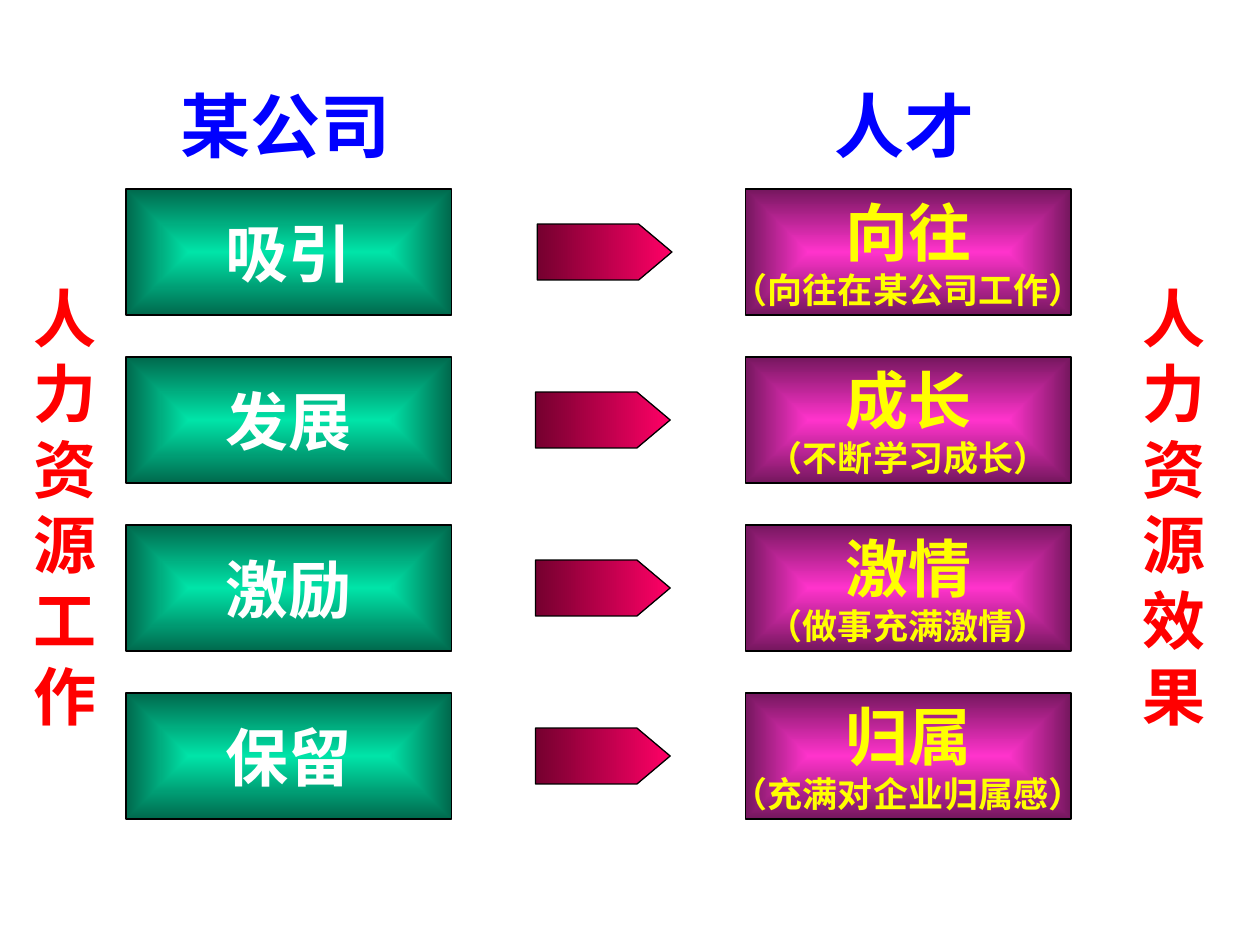
"""Build a slide that links four HR tasks to their effects on talent."""
from dataclasses import dataclass

from lxml.etree import SubElement
from pptx import Presentation
from pptx.dml.color import RGBColor as RGB
from pptx.enum.shapes import MSO_SHAPE as Shape
from pptx.enum.text import MSO_ANCHOR as Anchor, MSO_AUTO_SIZE as Fit, PP_ALIGN as Align
from pptx.oxml.ns import qn
from pptx.util import Pt


@dataclass(frozen=True)
class Theme:
    font: str = "Times New Roman"
    green: tuple = ("00E4A8", "00694D")
    pink: tuple = ("FF33CC", "75175E")
    crimson: tuple = ("FF0066", "75002F")
    black: str = "000000"
    white: str = "FFFFFF"
    yellow: str = "FFFF00"
    red: str = "FF0000"
    blue: str = "0000FF"
    title: int = 40
    main: int = 36
    note: int = 20


theme = Theme()


def write(shape, text, color, sizes, anchor=Anchor.TOP, fit=Fit.NONE):
    frame = shape.text_frame
    frame.text = text
    frame.word_wrap = False
    frame.auto_size = fit
    frame.vertical_anchor = anchor
    for para, size in zip(frame.paragraphs, sizes):
        para.alignment = Align.CENTER
        font = para.runs[0].font
        font.name, font.size, font.bold = theme.font, Pt(size), True
        font.color.rgb = RGB.from_string(color)


def paint(shape, colors, center=False):
    shape.shadow.inherit = False
    shape.line.color.rgb = RGB.from_string(theme.black)
    shape.line.width = Pt(0.75)
    fill = shape.fill
    fill.gradient()
    fill.gradient_angle = 180
    for stop, color in zip(fill.gradient_stops, colors):
        stop.color.rgb = RGB.from_string(color)
    if center:
        grad = shape.element.spPr.find(qn("a:gradFill"))
        grad.remove(grad.find(qn("a:lin")))
        path = SubElement(grad, qn("a:path"), path="rect")
        SubElement(path, qn("a:fillToRect"), l="50000", t="50000", r="50000", b="50000")


deck = Presentation()
deck.slide_width, deck.slide_height = Pt(720), Pt(540)
shapes = deck.slides.add_slide(deck.slide_layouts[6]).shapes

rows = [
    ("吸引", "向往\n（向往在某公司工作）", 307),
    ("发展", "成长\n（不断学习成长）", 306),
    ("激励", "激情\n（做事充满激情）", 306),
    ("保留", "归属\n（充满对企业归属感）", 306),
]
for row, (task, effect, left) in enumerate(rows):
    top = 108 + 96 * row
    for x, text, colors, ink in (
        (72, task, theme.green, theme.white),
        (426, effect, theme.pink, theme.yellow),
    ):
        box = shapes.add_shape(Shape.RECTANGLE, Pt(x), Pt(top), Pt(186), Pt(72))
        paint(box, colors, center=True)
        write(box, text, ink, (theme.main, theme.note), anchor=Anchor.MIDDLE)

    high, mid, low = top + 20, top + 36, top + 52
    pen = shapes.build_freeform(left, high, scale=Pt(1))
    pen.add_line_segments(
        [(left + 58, high), (left + 77, mid), (left + 58, low), (left, low)], close=True
    )
    paint(pen.convert_to_shape(), theme.crimson)

labels = [
    ("\n".join("人力资源工作"), 12, 156, 50.5, 266.4, theme.red, theme.main),
    ("\n".join("人力资源效果"), 645.5, 156, 50.5, 266.4, theme.red, theme.main),
    ("某公司", 94.5, 43.5, 137, 55.4, theme.blue, theme.title),
    ("人才", 469, 43.5, 96, 55.4, theme.blue, theme.title),
]
for text, x, y, wide, tall, color, size in labels:
    label = shapes.add_textbox(Pt(x), Pt(y), Pt(wide), Pt(tall))
    write(label, text, color, [size] * len(text), fit=Fit.SHAPE_TO_FIT_TEXT)

deck.save("out.pptx")
